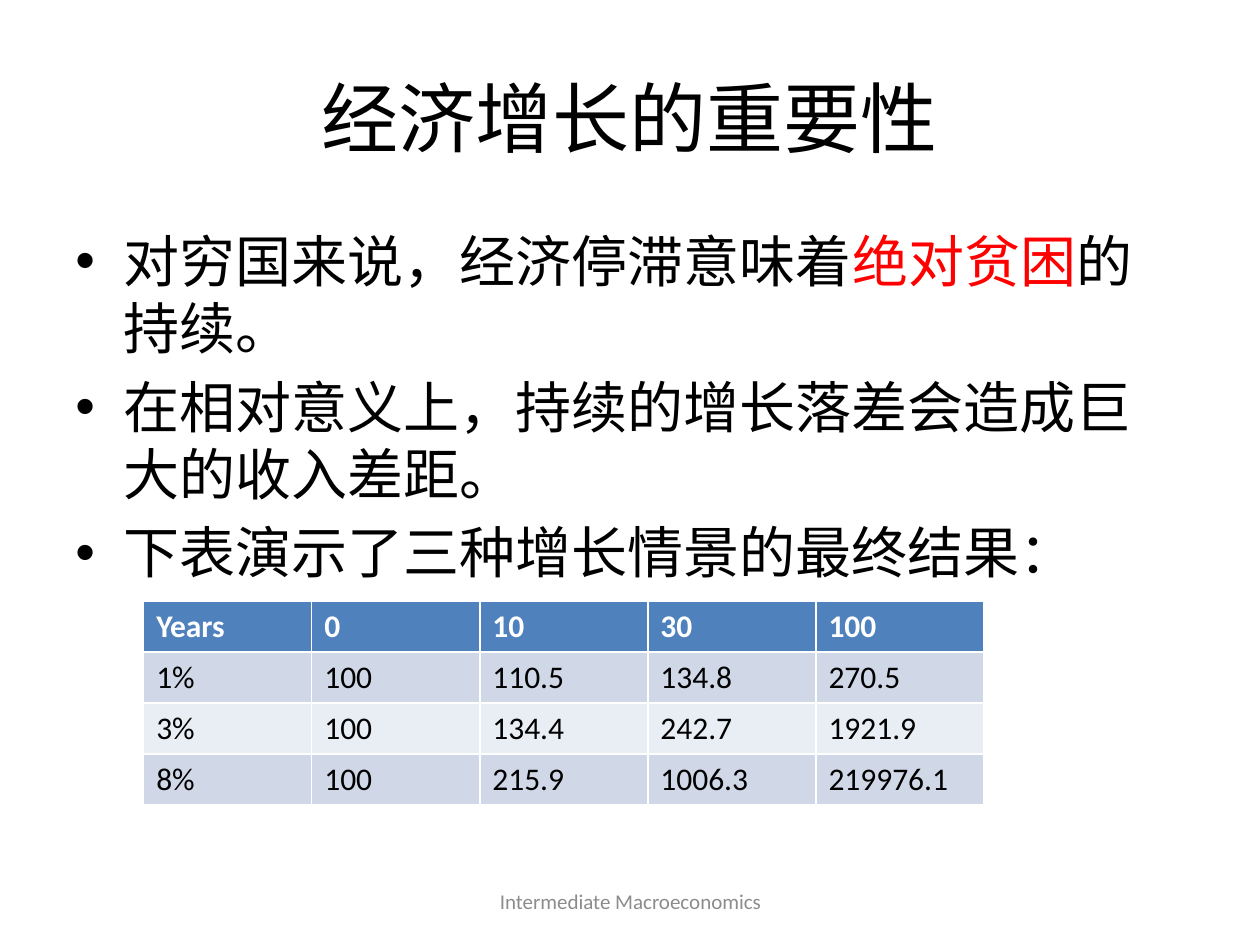
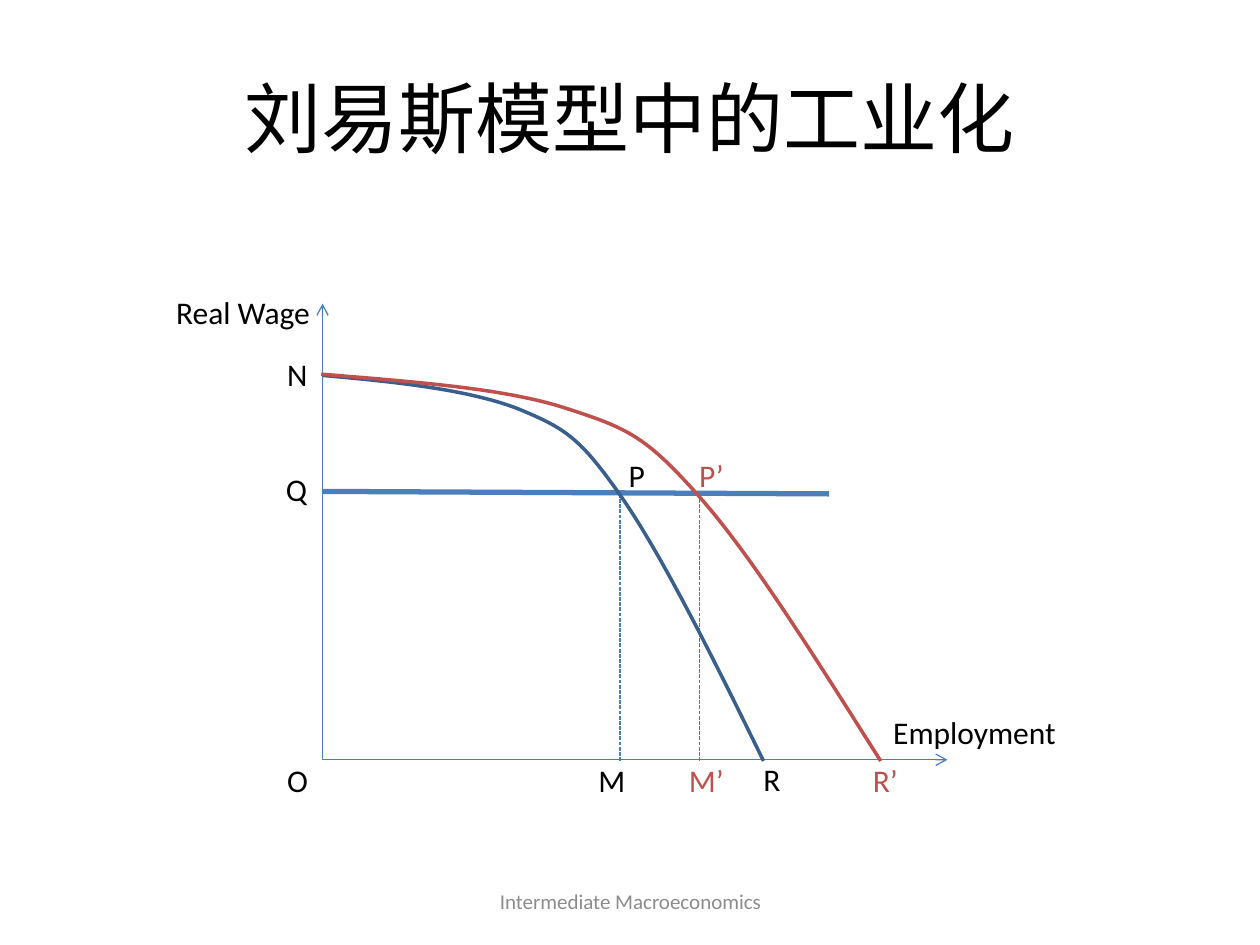
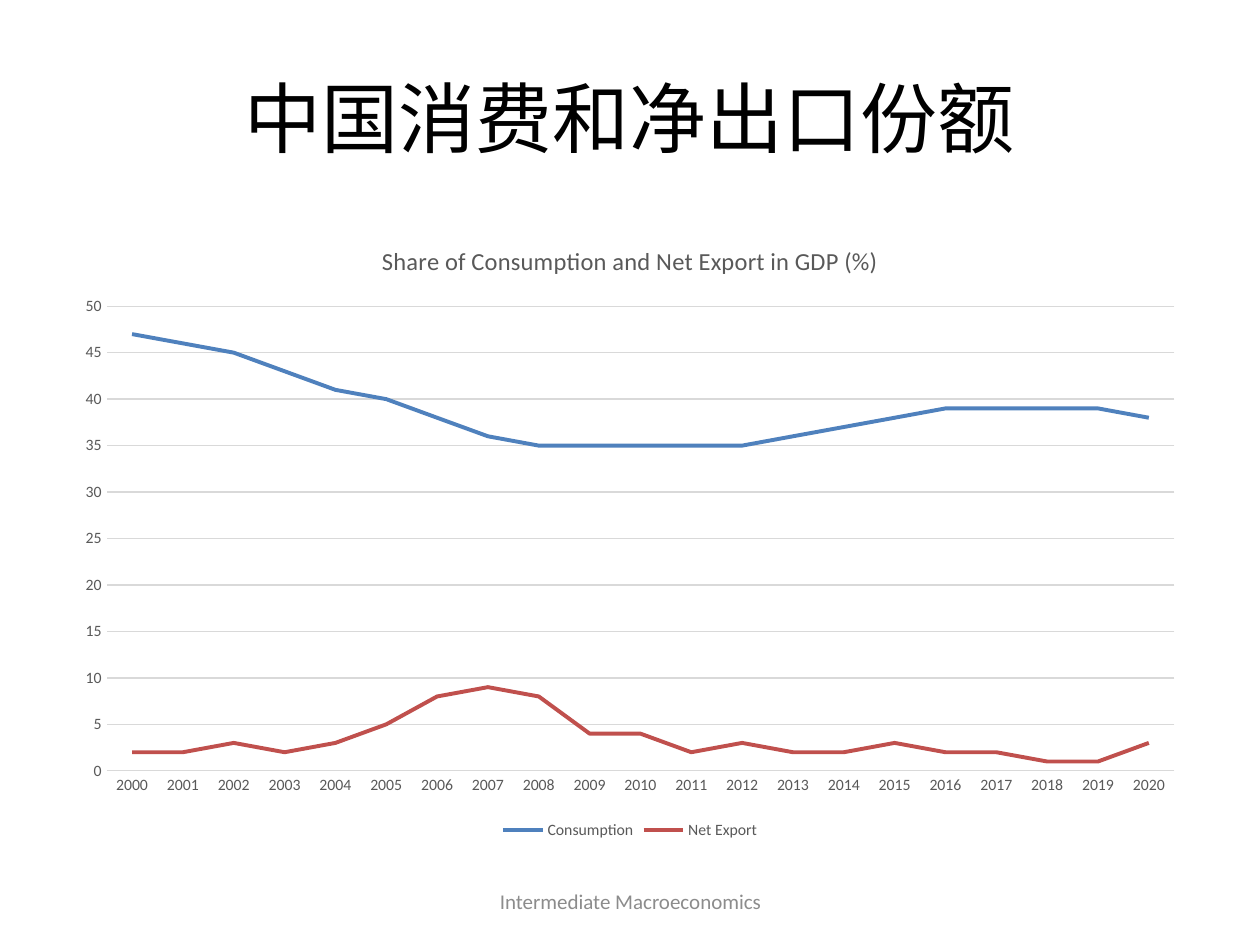
from dataclasses import dataclass
from typing import NamedTuple

from lxml import etree
from pptx import Presentation
from pptx import util as u
from pptx.chart.data import CategoryChartData
from pptx.dml.color import RGBColor
from pptx.enum import chart as charts, dml, shapes, text
from pptx.oxml.ns import qn

FONT = "Calibri"
BLACK = RGBColor(0x00, 0x00, 0x00)
WHITE = RGBColor(0xFF, 0xFF, 0xFF)
HIGHLIGHT = RGBColor(0xFF, 0x00, 0x00)
FOOTER_GRAY = RGBColor(0x8C, 0x8C, 0x8C)
CHART_TEXT = RGBColor(0x59, 0x59, 0x59)
GRID_GRAY = RGBColor(0xD9, 0xD9, 0xD9)
BLUE = RGBColor(0x4F, 0x81, 0xBD)
AXIS_BLUE = RGBColor(0x4B, 0x7E, 0xBC)
CURVE_BLUE = RGBColor(0x3A, 0x5F, 0x8C)
RED = RGBColor(0xC0, 0x50, 0x4D)
BAND_DARK = RGBColor(0xD0, 0xD8, 0xE8)
BAND_LIGHT = RGBColor(0xE9, 0xED, 0xF4)

FOOTER = "Intermediate Macroeconomics"
BULLETS = [
    [("对穷国来说，经济停滞意味着", BLACK), ("绝对贫困", HIGHLIGHT), ("的持续。", BLACK)],
    [("在相对意义上，持续的增长落差会造成巨大的收入差距。", BLACK)],
    [("下表演示了三种增长情景的最终结果：", BLACK)],
]
GROWTH_ROWS = [
    ["Years", "0", "10", "30", "100"],
    ["1%", "100", "110.5", "134.8", "270.5"],
    ["3%", "100", "134.4", "242.7", "1921.9"],
    ["8%", "100", "215.9", "1006.3", "219976.1"],
]
YEARS = [str(year) for year in range(2000, 2021)]
CURVE_STEPS = 20


class Point(NamedTuple):
    x: float
    y: float


class Box(NamedTuple):
    left: float
    top: float
    width: float
    height: float

    def lengths(self) -> list:
        return [u.Inches(value) for value in self]


@dataclass
class Label:
    text: str
    left: float
    top: float
    width: float = 0.54
    color: RGBColor = BLACK


@dataclass
class Line:
    start: Point
    end: Point
    color: RGBColor = AXIS_BLUE
    width: float = 0.75
    arrow: bool = False
    dashed: bool = False


@dataclass
class Curve:
    points: list
    color: RGBColor


@dataclass
class ShareSeries:
    name: str
    values: list
    color: RGBColor


LINES = [
    Line(Point(2.56, 6.03), Point(7.52, 6.03), arrow=True),
    Line(Point(2.56, 6.03), Point(2.56, 2.41), arrow=True),
    Line(Point(2.56, 3.9), Point(6.58, 3.92), width=3),
    Line(Point(4.92, 3.92), Point(4.92, 6.04), dashed=True),
    Line(Point(5.55, 3.92), Point(5.55, 6.04), color=RED, dashed=True),
]
CURVES = [
    Curve([Point(2.56, 2.98), Point(3.13, 3.03), Point(3.7, 3.09), Point(4.1, 3.24),
           Point(4.49, 3.4), Point(4.6, 3.47), Point(4.93, 3.94),
           Point(5.25, 4.4), Point(5.66, 5.22), Point(6.06, 6.04)], CURVE_BLUE),
    Curve([Point(2.55, 2.97), Point(3.27, 3.03), Point(4, 3.08), Point(4.49, 3.24),
           Point(4.99, 3.4), Point(5.13, 3.47), Point(5.54, 3.93),
           Point(5.96, 4.4), Point(6.47, 5.22), Point(6.99, 6.04)], RED),
]
LABELS = [
    Label("Employment", 6.99, 5.61, 1.51),
    Label("Real Wage", 1.3, 2.28, 1.87),
    Label("M", 4.65, 5.99),
    Label("O", 2.18, 5.99, 0.4),
    Label("Q", 2.17, 3.68),
    Label("P", 4.89, 3.57),
    Label("R", 5.96, 5.98),
    Label("N", 2.18, 2.77),
    Label("P’", 5.45, 3.57, color=RED),
    Label("M’", 5.37, 5.99, color=RED),
    Label("R’", 6.83, 5.99, color=RED),
]
SHARES = [
    ShareSeries("Consumption", [47, 46, 45, 43, 41, 40, 38, 36, 35, 35, 35,
                                35, 35, 36, 37, 38, 39, 39, 39, 39, 38], BLUE),
    ShareSeries("Net Export", [2, 2, 3, 2, 3, 5, 8, 9, 8, 4, 4,
                               2, 3, 2, 2, 3, 2, 2, 1, 1, 3], RED),
]


def style_font(font, size: float, color: RGBColor, bold: bool = False) -> None:
    font.name = FONT
    font.size = u.Pt(size)
    font.bold = bold
    font.color.rgb = color


def add_text_frame(slide, box: Box):
    text_frame = slide.shapes.add_textbox(*box.lengths()).text_frame
    text_frame.word_wrap = True
    return text_frame


def add_centered_text(slide, box: Box, content: str, size: float, color: RGBColor) -> None:
    text_frame = add_text_frame(slide, box)
    text_frame.vertical_anchor = text.MSO_ANCHOR.MIDDLE
    text_frame.text = content
    paragraph = text_frame.paragraphs[0]
    paragraph.alignment = text.PP_ALIGN.CENTER
    style_font(paragraph.runs[0].font, size, color)


def add_titled_slide(presentation, title: str):
    slide = presentation.slides.add_slide(presentation.slide_layouts[6])
    add_centered_text(slide, Box(0.5, 0.3, 9, 1.25), title, 44, BLACK)
    add_centered_text(slide, Box(3.42, 6.95, 3.17, 0.4), FOOTER, 12, FOOTER_GRAY)
    return slide


def add_bullets(slide, box: Box, bullets: list) -> None:
    text_frame = add_text_frame(slide, box)
    for index, parts in enumerate(bullets):
        paragraph = text_frame.add_paragraph() if index else text_frame.paragraphs[0]
        paragraph.space_before = u.Pt(6.4)
        for content, color in parts:
            run = paragraph.add_run()
            run.text = content
            style_font(run.font, 32, color)
        properties = paragraph._p.get_or_add_pPr()
        properties.set("marL", str(u.Inches(0.38)))
        properties.set("indent", str(u.Inches(-0.38)))
        etree.SubElement(properties, qn("a:buFont"), typeface="Arial")
        etree.SubElement(properties, qn("a:buChar"), char="•")


def add_growth_table(slide, box: Box, rows: list) -> None:
    frame = slide.shapes.add_table(len(rows), len(rows[0]), *box.lengths())
    for row_index, row in enumerate(rows):
        header = row_index == 0
        fill = BLUE if header else BAND_DARK if row_index % 2 else BAND_LIGHT
        for column_index, content in enumerate(row):
            cell = frame.table.cell(row_index, column_index)
            cell.fill.solid()
            cell.fill.fore_color.rgb = fill
            cell.text = content
            font = cell.text_frame.paragraphs[0].runs[0].font
            style_font(font, 18, WHITE if header else BLACK, header)


def add_line(slide, line: Line) -> None:
    ends = [u.Inches(value) for value in (*line.start, *line.end)]
    connector = slide.shapes.add_connector(shapes.MSO_CONNECTOR.STRAIGHT, *ends)
    connector.line.color.rgb = line.color
    connector.line.width = u.Pt(line.width)
    if line.dashed:
        connector.line.dash_style = dml.MSO_LINE.SQUARE_DOT
    properties = connector.element.spPr
    if line.arrow:
        etree.SubElement(properties.find(qn("a:ln")), qn("a:tailEnd"), type="arrow")
    etree.SubElement(properties, qn("a:effectLst"))


def bezier_point(controls: list, t: float) -> Point:
    weights = [(1 - t) ** 3, 3 * t * (1 - t) ** 2, 3 * t ** 2 * (1 - t), t ** 3]
    return Point(sum(w * p.x for w, p in zip(weights, controls)),
                 sum(w * p.y for w, p in zip(weights, controls)))


def add_curve(slide, curve: Curve) -> None:
    samples = [bezier_point(curve.points[start:start + 4], step / CURVE_STEPS)
               for start in range(0, len(curve.points) - 1, 3)
               for step in range(1, CURVE_STEPS + 1)]
    first, *rest = [(u.Inches(p.x), u.Inches(p.y)) for p in [curve.points[0], *samples]]
    builder = slide.shapes.build_freeform(*first)
    builder.add_line_segments(rest, close=False)
    shape = builder.convert_to_shape()
    shape.shadow.inherit = False
    shape.fill.background()
    shape.line.color.rgb = curve.color
    shape.line.width = u.Pt(2)


def add_label(slide, label: Label) -> None:
    text_frame = add_text_frame(slide, Box(label.left, label.top, label.width, 0.4))
    text_frame.text = label.text
    style_font(text_frame.paragraphs[0].runs[0].font, 18, label.color)


def add_share_chart(slide, box: Box, title: str, shares: list) -> None:
    data = CategoryChartData()
    data.categories = YEARS
    for share in shares:
        data.add_series(share.name, share.values)
    chart = slide.shapes.add_chart(charts.XL_CHART_TYPE.LINE, *box.lengths(), data).chart
    style_font(chart.font, 10, BLACK)
    chart.has_title = True
    chart.chart_title.text_frame.text = title
    style_font(chart.chart_title.text_frame.paragraphs[0].runs[0].font, 14, CHART_TEXT)
    chart.chart_title.include_in_layout = False
    chart.has_legend = True
    chart.legend.position = charts.XL_LEGEND_POSITION.BOTTOM
    chart.legend.include_in_layout = False
    style_font(chart.legend.font, 9, CHART_TEXT)

    for axis in (chart.category_axis, chart.value_axis):
        axis.major_tick_mark = axis.minor_tick_mark = charts.XL_TICK_MARK.NONE
        style_font(axis.tick_labels.font, 9, CHART_TEXT)
    value_axis = chart.value_axis
    value_axis.minimum_scale, value_axis.maximum_scale, value_axis.major_unit = 0, 50, 5
    value_axis.format.line.fill.background()
    for line in (chart.category_axis.format.line, value_axis.major_gridlines.format.line):
        line.color.rgb = GRID_GRAY
        line.width = u.Pt(0.75)

    plot = chart.plots[0]
    plot.vary_by_categories = False
    for series, share in zip(plot.series, shares):
        series.smooth = False
        series.marker.style = charts.XL_MARKER_STYLE.NONE
        series.format.line.color.rgb = share.color
        series.format.line.width = u.Pt(2.25)


def main() -> None:
    presentation = Presentation()
    presentation.slide_width = u.Inches(10)
    presentation.slide_height = u.Inches(7.5)

    growth_slide = add_titled_slide(presentation, "经济增长的重要性")
    add_bullets(growth_slide, Box(0.5, 1.75, 9, 2.94), BULLETS)
    add_growth_table(growth_slide, Box(1.14, 4.77, 6.67, 1.62), GROWTH_ROWS)

    lewis_slide = add_titled_slide(presentation, "刘易斯模型中的工业化")
    for line in LINES:
        add_line(lewis_slide, line)
    for curve in CURVES:
        add_curve(lewis_slide, curve)
    for label in LABELS:
        add_label(lewis_slide, label)

    share_slide = add_titled_slide(presentation, "中国消费和净出口份额")
    add_share_chart(share_slide, Box(0.5, 1.75, 9, 4.95),
                    "Share of Consumption and Net Export in GDP (%)", SHARES)

    presentation.save("out.pptx")


if __name__ == "__main__":
    main()
